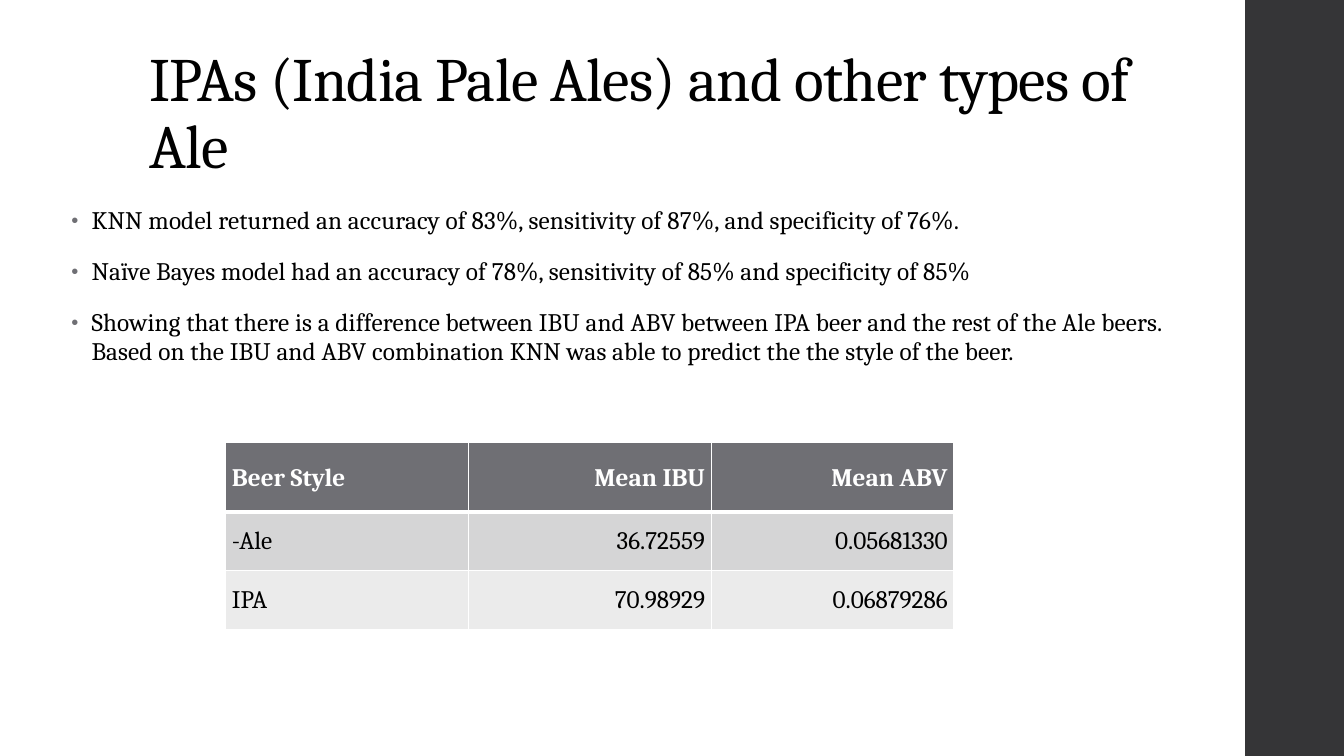
from pptx import Presentation, util as u
from pptx.dml.color import RGBColor
from pptx.enum import shapes, text
from pptx.oxml import parse_xml
from pptx.oxml.ns import nsdecls

PX = 9144  # EMU per px, 100 px to the inch
HUES = {"ink": "000000", "paper": "FFFFFF", "bar": "353537",
        "grey": "6F6F74", "odd": "D5D5D6", "even": "EBEBEB"}
LEFT, RIGHT = text.PP_ALIGN.LEFT, text.PP_ALIGN.RIGHT
POINTS = [
    "KNN model returned an accuracy of 83%, sensitivity of 87%, and specificity of 76%.",
    "Naïve Bayes model had an accuracy of 78%, sensitivity of 85% and specificity of 85%",
    "Showing that there is a difference between IBU and ABV between IPA beer and the rest of "
    "the Ale beers. Based on the IBU and ABV combination KNN was able to predict the the style "
    "of the beer.",
]
BEERS = [("Beer Style", "Mean IBU", "Mean ABV"),
         ("-Ale", "36.72559", "0.05681330"),
         ("IPA", "70.98929", "0.06879286")]


def px(*nums):
    return [n * PX for n in nums]


def apply(item, **vals):
    for key, val in vals.items():
        setattr(item, key, val)


def paint(fill, hue):
    fill.solid()
    fill.fore_color.rgb = RGBColor.from_string(HUES[hue])


def write(para, words, size, hue="ink", bold=False, track=0, **form):
    """Add one run; track is letter spacing in hundredths of a point."""
    apply(para, **form)
    run = para.add_run()
    run.text = words
    apply(run.font, name="Cambria", size=u.Pt(size), bold=bold)
    run.font.color.rgb = RGBColor.from_string(HUES[hue])
    if track:
        run.font._element.set("spc", str(track))


def add_xml(parent, tag, attrs, inner=""):
    parent.append(parse_xml(f'<a:{tag} {nsdecls("a")} {attrs}>{inner}</a:{tag}>'))


def rgb_xml(hue):
    return f'<a:srgbClr val="{HUES[hue]}"/>'


def add_bar(slide, box):
    bar = slide.shapes.add_shape(shapes.MSO_SHAPE.RECTANGLE, *px(*box))
    bar.shadow.inherit = False
    paint(bar.fill, "bar")
    bar.line.fill.background()


def add_title(slide, box, words):
    title = slide.shapes.title
    apply(title, **dict(zip(("left", "top", "width", "height"), px(*box))))
    frame = title.text_frame
    apply(frame, word_wrap=True, auto_size=text.MSO_AUTO_SIZE.NONE,
          vertical_anchor=text.MSO_ANCHOR.BOTTOM)
    write(frame.paragraphs[0], words, 44, track=-50, alignment=LEFT, line_spacing=0.9)


def add_points(slide, box, points):
    frame = slide.shapes.add_textbox(*px(*box)).text_frame
    apply(frame, word_wrap=True, auto_size=text.MSO_AUTO_SIZE.NONE)
    for i, words in enumerate(points):
        para = frame.add_paragraph() if i else frame.paragraphs[0]
        write(para, words, 18, track=10, line_spacing=0.95,
              space_before=u.Pt(14), space_after=u.Pt(2))
        props = para._p.get_or_add_pPr()
        apply_indent = {"marL": 20 * PX, "indent": -20 * PX}
        for key, val in apply_indent.items():
            props.set(key, str(val))
        add_xml(props, "buClr", "", rgb_xml("grey"))
        add_xml(props, "buSzPct", 'val="80000"')
        add_xml(props, "buFont", 'typeface="Arial"')
        add_xml(props, "buChar", 'char="•"')


def add_edges(cell, base):
    """Draw white cell borders; base is the width of the lower one in points."""
    props = cell._tc.get_or_add_tcPr()
    for side, width in zip("LRTB", (1, 1, 1, base)):
        add_xml(props, f"ln{side}", f'w="{u.Pt(width)}"',
                f'<a:solidFill>{rgb_xml("paper")}</a:solidFill>')


def add_beers(slide, box, rows, heights):
    table = slide.shapes.add_table(len(rows), len(rows[0]), *px(*box)).table
    for col in table.columns:
        col.width = box[2] * PX // len(rows[0])
    for r, row in enumerate(rows):
        head = r == 0
        table.rows[r].height = heights[r] * PX
        for c, words in enumerate(row):
            cell = table.cell(r, c)
            top, low = (5, 3) if head else (2, 2)
            apply(cell, vertical_anchor=text.MSO_ANCHOR.MIDDLE,
                  **dict(zip(("margin_left", "margin_right", "margin_top", "margin_bottom"),
                             px(6, 6, top, low))))
            write(cell.text_frame.paragraphs[0], words, 18, "paper" if head else "ink",
                  head, alignment=RIGHT if c else LEFT)
            add_edges(cell, 3 if head else 1)
            paint(cell.fill, ("grey", "odd", "even")[r])


def main():
    deck = Presentation()
    wide, high = 1333, 750
    apply(deck, slide_width=wide * PX, slide_height=high * PX)
    slide = deck.slides.add_slide(deck.slide_layouts[5])
    add_bar(slide, (1235, 0, wide - 1235, high))
    add_title(slide, (138, 40, 1060, 145), "IPAs (India Pale Ales) and other types of Ale")
    add_points(slide, (61, 200, 1124, 476), POINTS)
    add_beers(slide, (224, 439, 722, 186), BEERS, (69, 58, 59))
    deck.save("out.pptx")


if __name__ == "__main__":
    main()
